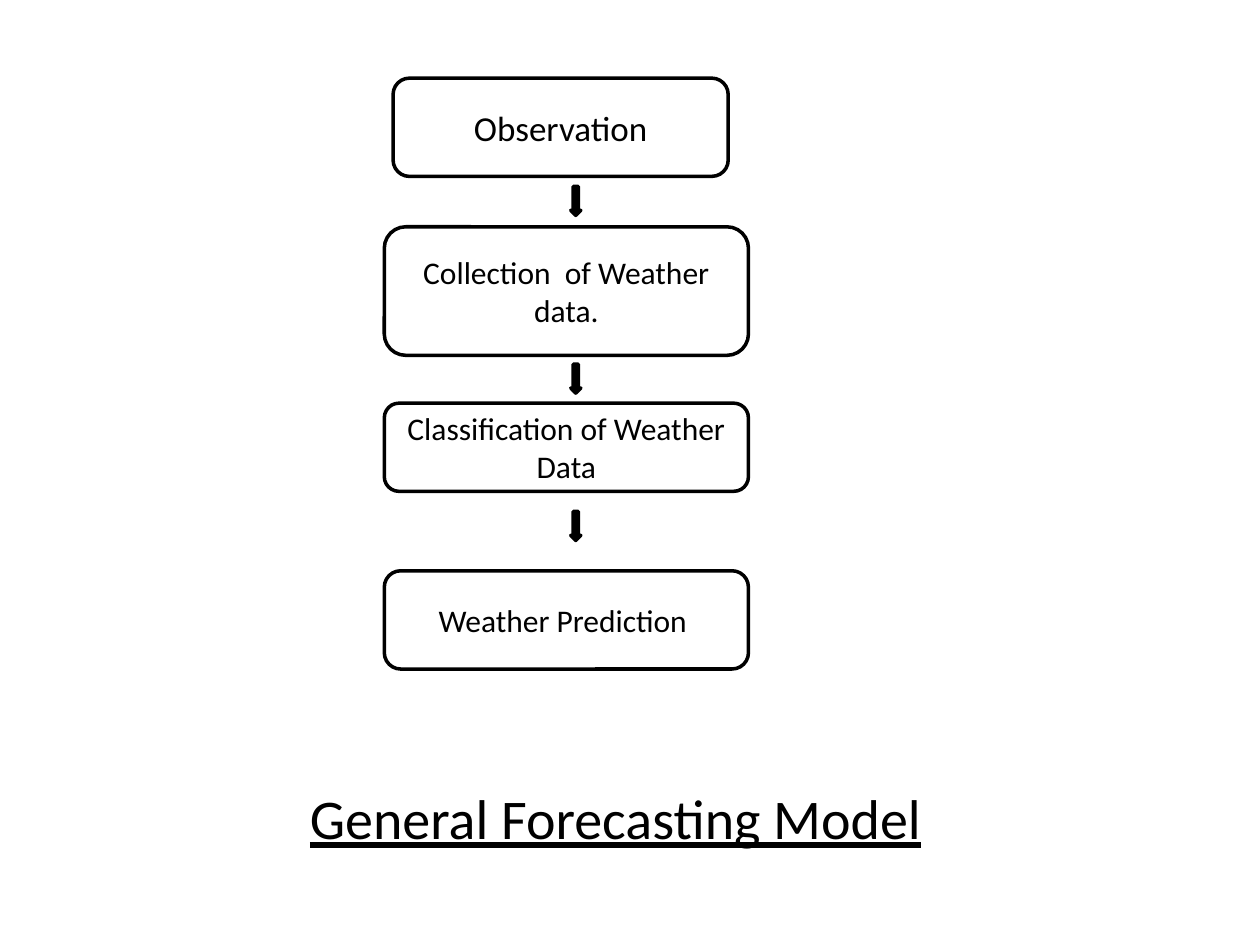
from pptx import Presentation
from pptx.dml.color import RGBColor
from pptx.enum.shapes import MSO_SHAPE
from pptx.enum.text import MSO_ANCHOR, PP_ALIGN
from pptx.util import Inches, Pt

COLORS = {"ink": "000000", "paper": "FFFFFF"}
FONT = "Calibri"

# text, left, top, width, height, text size
STEPS = [
    ("Observation", 3.12, 0.62, 2.66, 0.78, 20),
    ("Collection  of Weather data.", 3.05, 1.8, 2.89, 1.02, 18),
    ("Classification of Weather Data", 3.05, 3.2, 2.89, 0.7, 18),
    ("Weather Prediction ", 3.05, 4.53, 2.89, 0.78, 18),
]
ARROW_TOPS = [1.48, 2.89, 4.06]


def color(name):
    return RGBColor.from_string(COLORS[name])


def put_text(shape, text, size=18, align=PP_ALIGN.LEFT,
             anchor=MSO_ANCHOR.TOP, underline=None):
    frame = shape.text_frame
    frame.word_wrap = True
    frame.vertical_anchor = anchor
    para = frame.paragraphs[0]
    para.alignment = align
    run = para.add_run()
    run.text = text
    font = run.font
    font.name = FONT
    font.size = Pt(size)
    font.underline = underline
    font.color.rgb = color("ink")


def add_shape(slide, kind, left, top, width, height, fill):
    shape = slide.shapes.add_shape(
        kind, Inches(left), Inches(top), Inches(width), Inches(height))
    shape.shadow.inherit = False
    shape.fill.solid()
    shape.fill.fore_color.rgb = color(fill)
    shape.line.color.rgb = color("ink")
    shape.line.width = Pt(2)
    return shape


def add_step(slide, text, left, top, width, height, size):
    box = add_shape(slide, MSO_SHAPE.ROUNDED_RECTANGLE,
                    left, top, width, height, "paper")
    put_text(box, text, size=size, align=PP_ALIGN.CENTER,
             anchor=MSO_ANCHOR.MIDDLE)


def add_arrow(slide, top):
    add_shape(slide, MSO_SHAPE.DOWN_ARROW, 4.53, top, 0.08, 0.23, "ink")


def add_title(slide, text):
    box = slide.shapes.add_textbox(
        Inches(2.03), Inches(6.17), Inches(5.47), Inches(0.64))
    box.text_frame.margin_left = Inches(0.43)
    put_text(box, text, size=32, underline=True)


def main():
    deck = Presentation()
    deck.slide_width = Inches(10)
    deck.slide_height = Inches(7.5)
    slide = deck.slides.add_slide(deck.slide_layouts[6])
    for step in STEPS:
        add_step(slide, *step)
    for top in ARROW_TOPS:
        add_arrow(slide, top)
    add_title(slide, "General Forecasting Model")
    deck.save("out.pptx")


if __name__ == "__main__":
    main()
